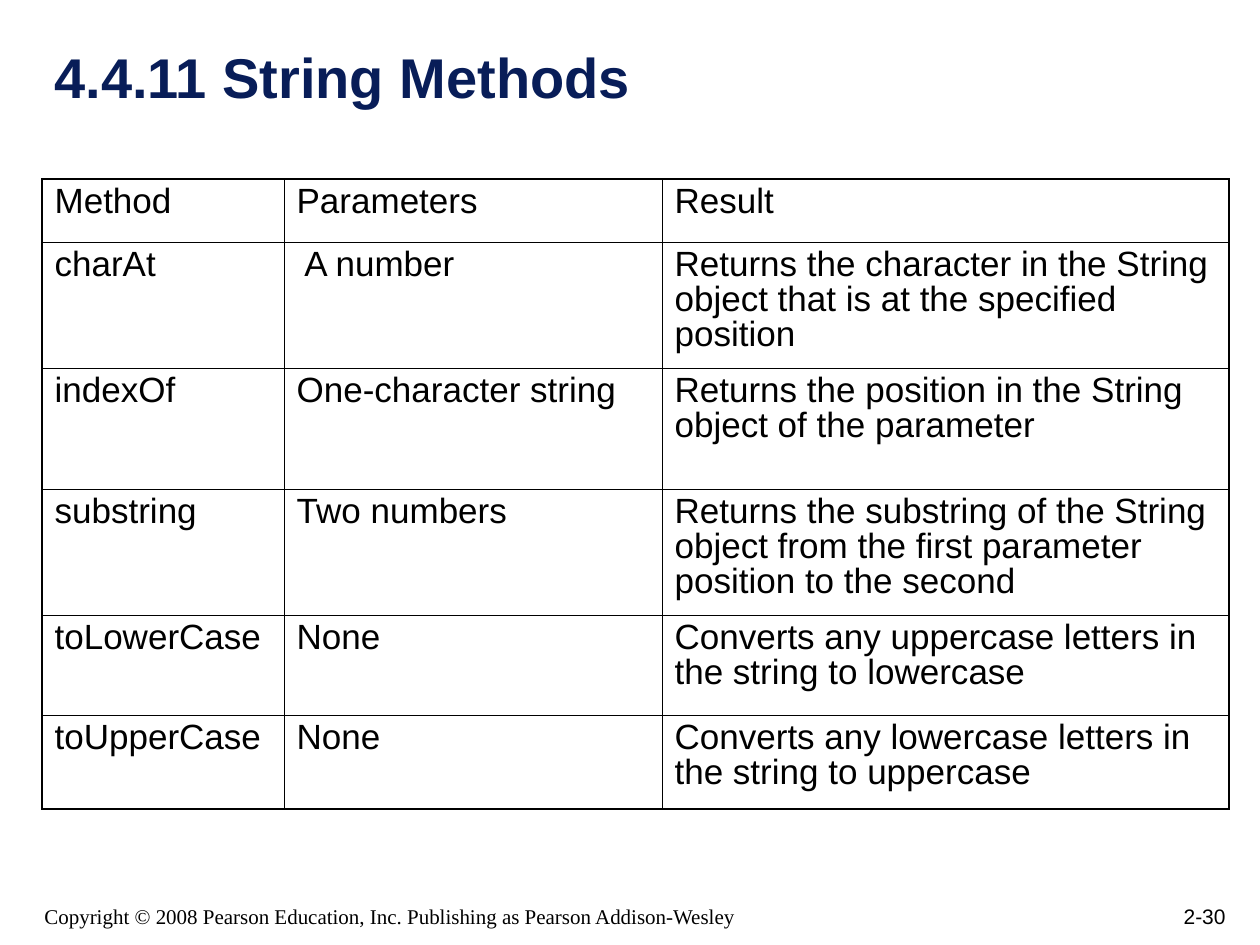
import pptx
import pptx.util
import pptx.dml.color
import pptx.enum.text
from lxml import etree

SCALE = 914400 / 126
NS = "http://schemas.openxmlformats.org/drawingml/2006/main"
ALIGN = pptx.enum.text.PP_ALIGN


def px(n):
    return pptx.util.Emu(round(n * SCALE))


def color(code):
    return pptx.dml.color.RGBColor.from_string(code)


class Deck:
    font = "Arial"
    ink = "000000"
    navy = "081D58"
    thick = 1.08
    thin = 0.45

    def __init__(self, wide, high):
        self.prs = pptx.Presentation()
        self.prs.slide_width, self.prs.slide_height = px(wide), px(high)
        self.slide = self.prs.slides.add_slide(self.prs.slide_layouts[6])

    def run(self, para, text, size, font=None, ink=None, bold=False):
        run = para.add_run()
        run.text = text
        run.font.size = pptx.util.Pt(size)
        run.font.name = font or self.font
        run.font.bold = bold
        run.font.color.rgb = color(ink or self.ink)

    def label(self, box, text, size, align=ALIGN.LEFT, **style):
        frame = self.slide.shapes.add_textbox(*map(px, box)).text_frame
        frame.word_wrap = True
        frame.vertical_anchor = pptx.enum.text.MSO_ANCHOR.BOTTOM
        para = frame.paragraphs[0]
        para.alignment = align
        self.run(para, text, size, **style)

    def border(self, cell, widths):
        props = cell._tc.get_or_add_tcPr()
        for spot, (side, width) in enumerate(widths.items()):
            line = etree.Element(f"{{{NS}}}ln{side}", w=str(pptx.util.Pt(width)))
            fill = etree.SubElement(line, f"{{{NS}}}solidFill")
            etree.SubElement(fill, f"{{{NS}}}srgbClr", val=self.ink)
            props.insert(spot, line)

    def table(self, left, top, cols, rows, data, size):
        box = map(px, (left, top, sum(cols), sum(rows)))
        grid = self.slide.shapes.add_table(len(rows), len(cols), *box).table
        grid.first_row = grid.horz_banding = False
        for col, wide in zip(grid.columns, cols):
            col.width = px(wide)
        for row, high in zip(grid.rows, rows):
            row.height = px(high)
        for r, texts in enumerate(data):
            for c, text in enumerate(texts):
                cell = grid.cell(r, c)
                cell.fill.background()
                para = cell.text_frame.paragraphs[0]
                para.line_spacing = 0.9
                self.run(para, text, size)
                # Heavier lines on the outer edge
                edges = {"L": c == 0, "R": c == len(cols) - 1,
                         "T": r == 0, "B": r == len(rows) - 1}
                self.border(cell, {side: self.thick if outer else self.thin
                                   for side, outer in edges.items()})


METHODS = [
    ("Method", "Parameters", "Result"),
    ("charAt", " A number",
     "Returns the character in the String object that is at the specified position"),
    ("indexOf", "One-character string",
     "Returns the position in the String object of the parameter"),
    ("substring", "Two numbers",
     "Returns the substring of the String object from the first parameter "
     "position to the second"),
    ("toLowerCase", "None",
     "Converts any uppercase letters in the string to lowercase"),
    ("toUpperCase", "None",
     "Converts any lowercase letters in the string to uppercase"),
]


def main():
    deck = Deck(1260, 945)

    # Footer
    deck.label((976, 872, 262, 63), "2-30", 12, ALIGN.RIGHT)
    deck.label((32, 882, 766, 53),
               "Copyright © 2008 Pearson Education, Inc. "
               "Publishing as Pearson Addison-Wesley",
               12, font="Times New Roman")

    # Title
    deck.label((42, 42, 1187, 74), "4.4.11 String Methods", 32,
               ink=deck.navy, bold=True)

    # Method table
    deck.table(42, 179, (242, 378, 567), (63, 126, 121, 126, 100, 94),
               METHODS, 20)

    deck.prs.save("out.pptx")


if __name__ == "__main__":
    main()
